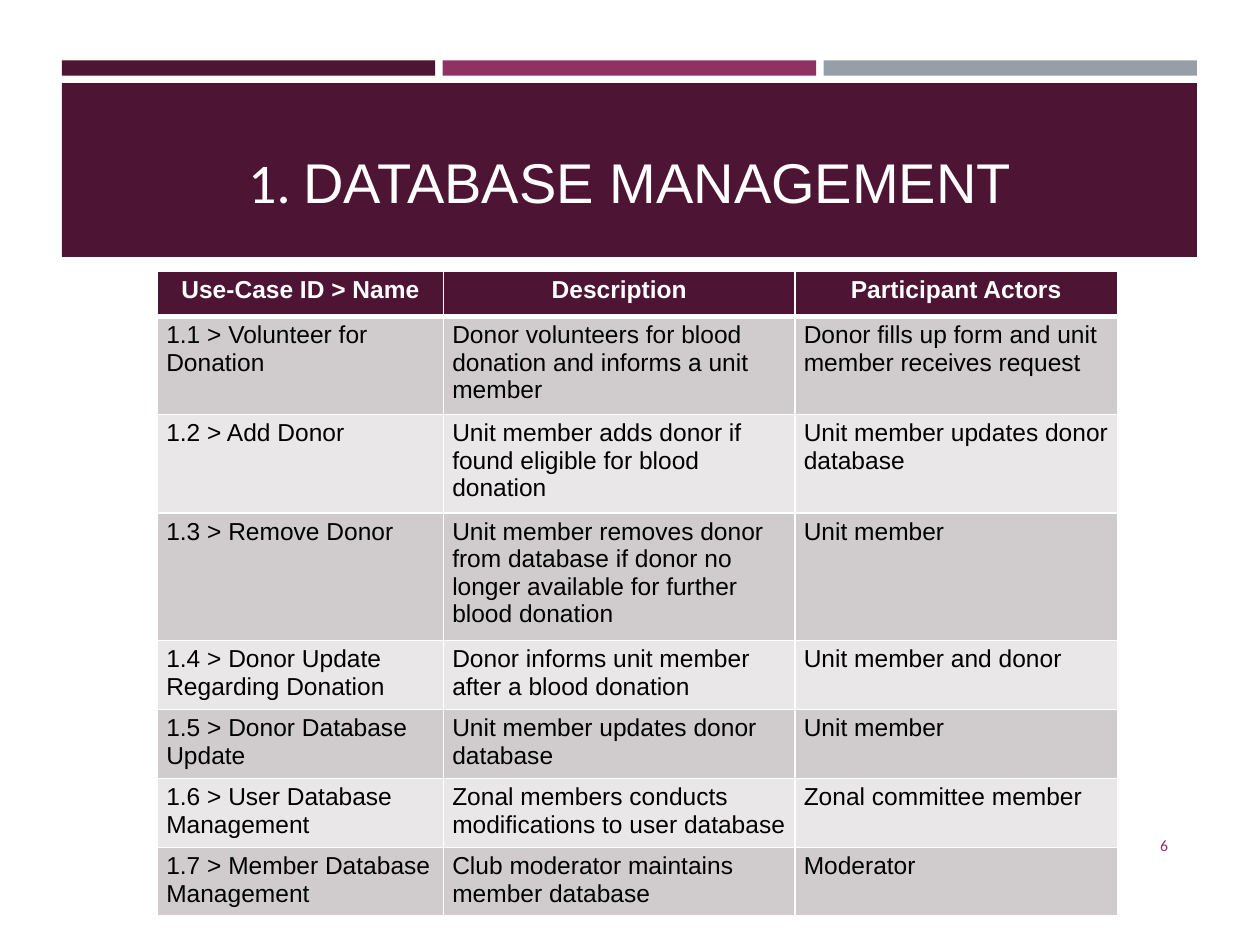
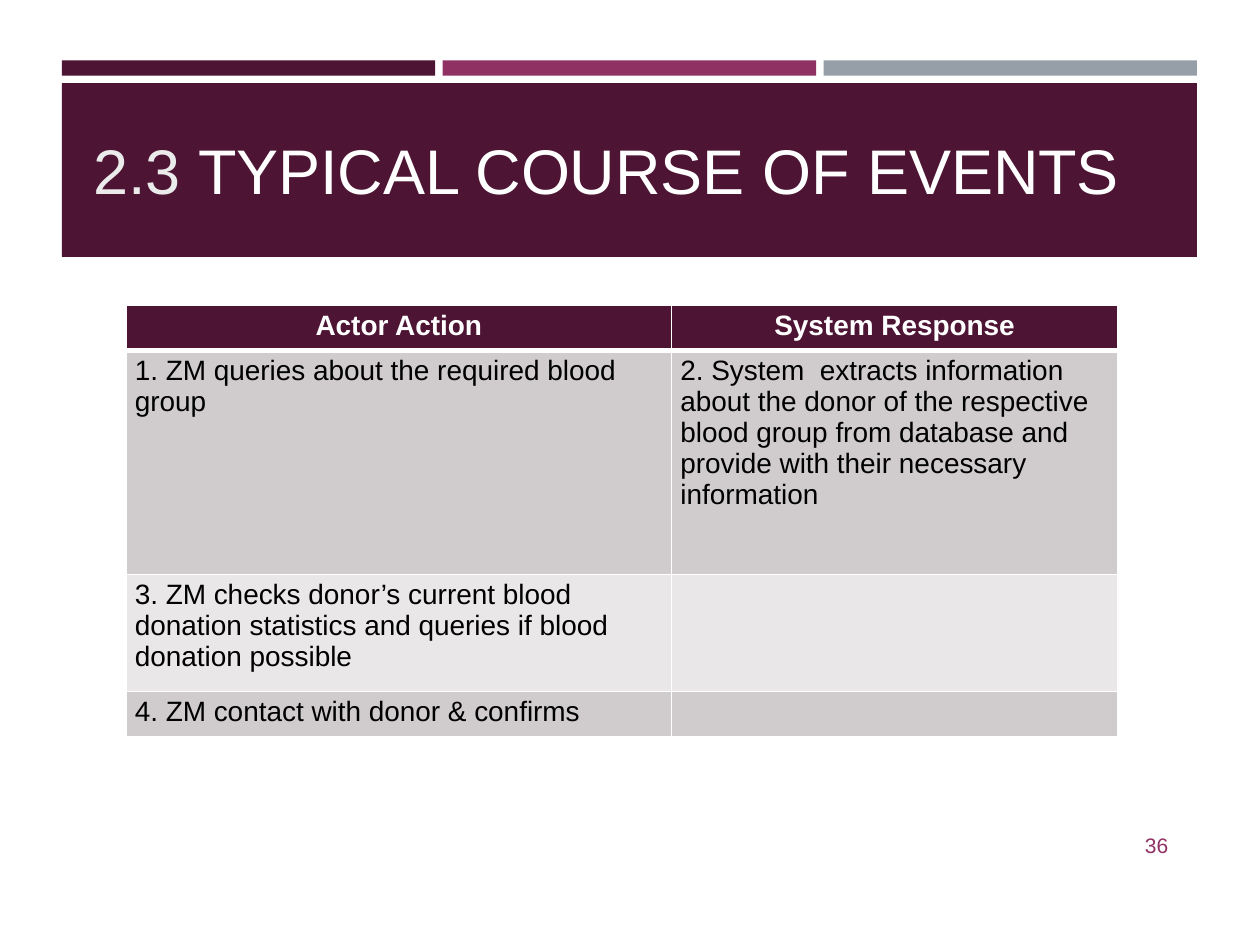
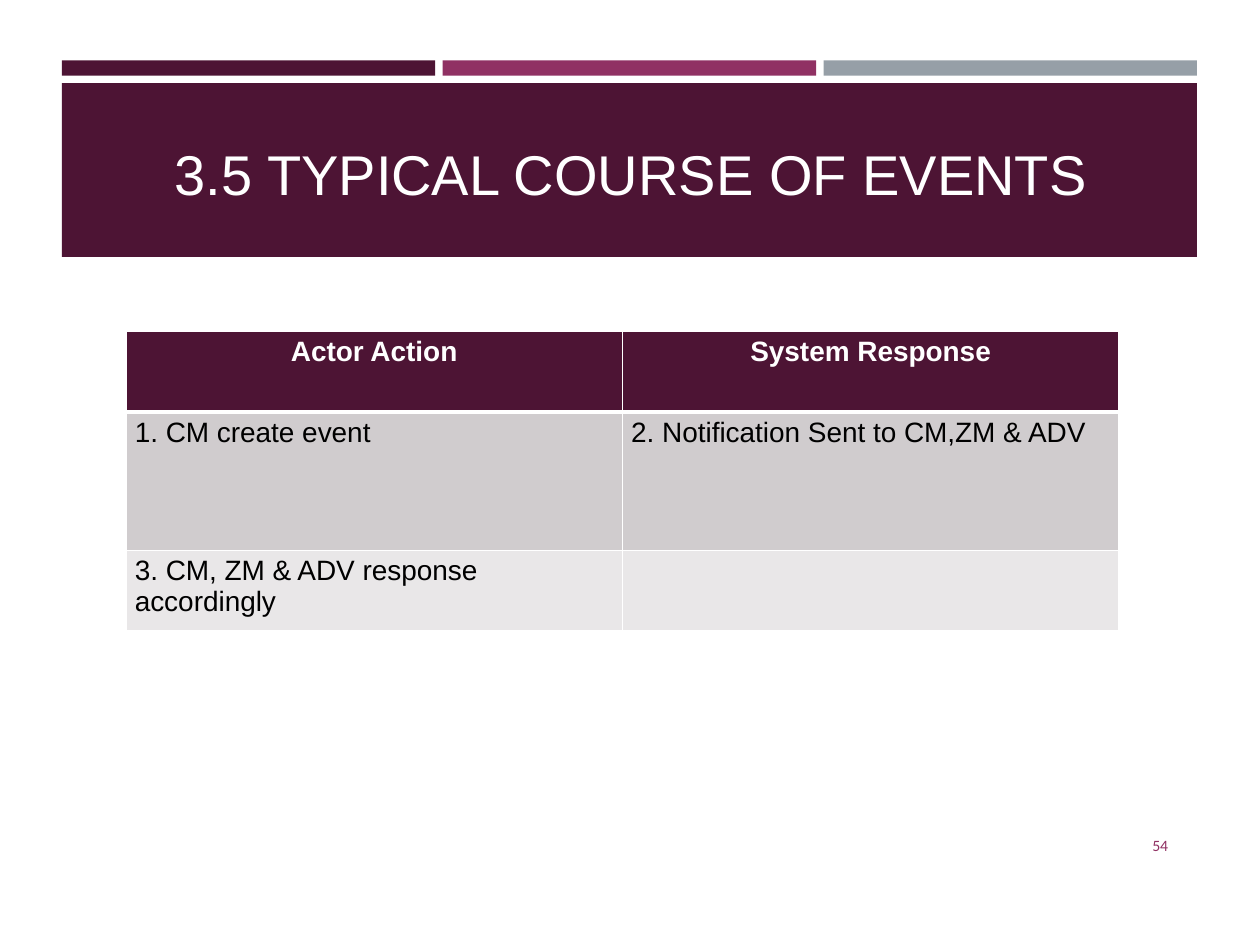
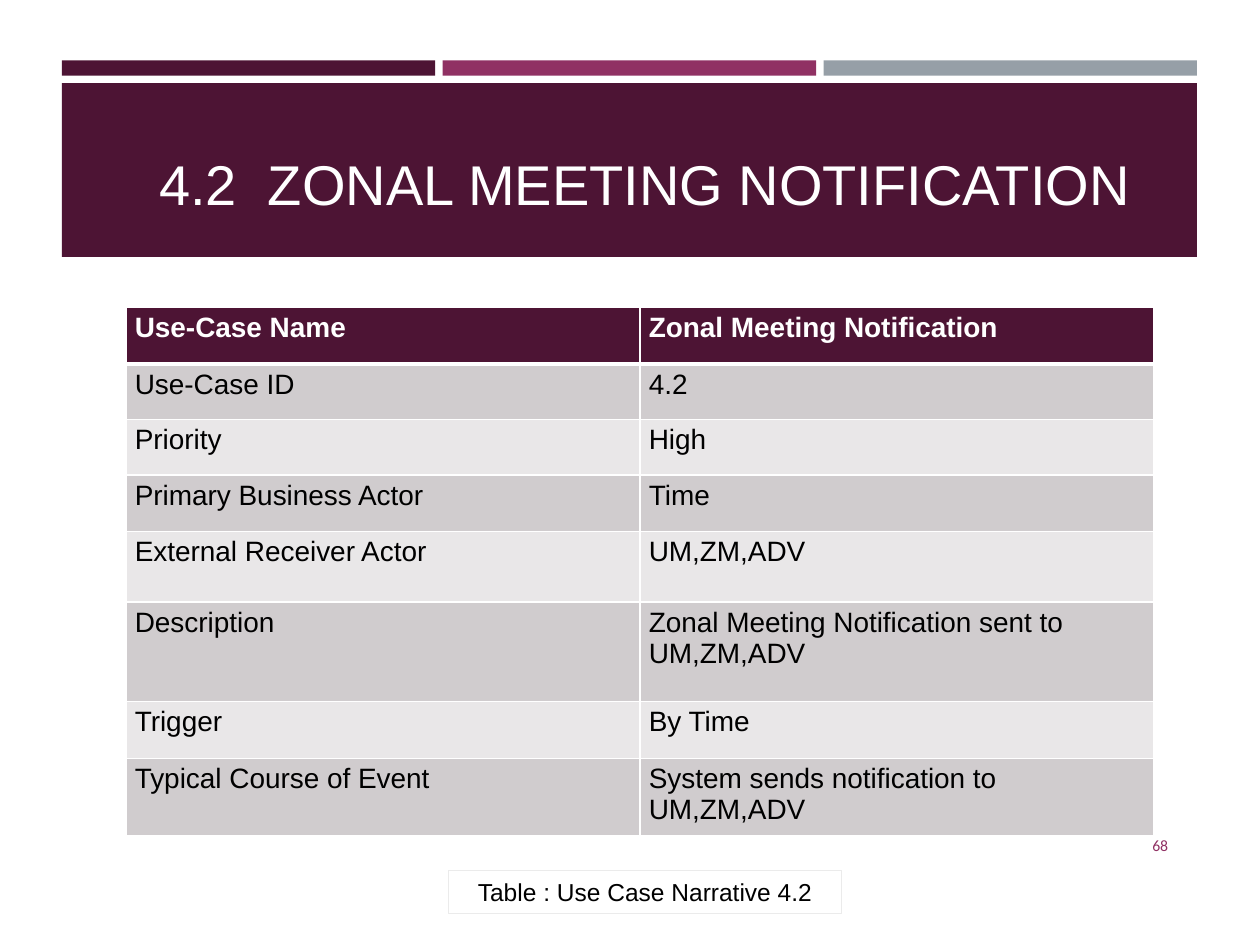
from lxml.etree import SubElement
from pptx import Presentation
from pptx.dml.color import RGBColor
from pptx.enum.shapes import MSO_SHAPE
from pptx.enum.text import MSO_ANCHOR as ANCHOR, PP_ALIGN as ALIGN
from pptx.oxml.ns import qn
from pptx.util import Inches, Pt

COLORS = {
    "plum": "4D1434", "berry": "903163", "slate": "969FA7",
    "white": "FFFFFF", "black": "000000", "pale": "EBEBEB",
    "row_dark": "D0CCCE", "row_light": "E9E7E8",
}
BANNER = (0.49, 0.48, 9.01, 1.56)
STRIP_H, STRIP_GAP = 0.12, 0.06
NUMBER_BOX = (8.53, 6.51, 0.84, 0.4)
TITLE_BOX = (0.64, 0.92, 8.74, 0.77)

USE_CASES = [
    ["Use-Case ID > Name", "Description", "Participant Actors"],
    ["1.1 > Volunteer for Donation",
     "Donor volunteers for blood donation and informs a unit member",
     "Donor fills up form and unit member receives request"],
    ["1.2 > Add Donor",
     "Unit member adds donor if found eligible for blood donation",
     "Unit member updates donor database"],
    ["1.3 > Remove Donor",
     "Unit member removes donor from database if donor no longer available "
     "for further blood donation",
     "Unit member"],
    ["1.4 > Donor Update Regarding Donation",
     "Donor informs unit member after a blood donation",
     "Unit member and donor"],
    ["1.5 > Donor Database Update",
     "Unit member updates donor database", "Unit member"],
    ["1.6 > User Database Management",
     "Zonal members conducts modifications to user database",
     "Zonal committee member"],
    ["1.7 > Member Database Management",
     "Club moderator maintains member database", "Moderator"],
]
BLOOD_QUERY = [
    ["Actor Action", "System Response"],
    ["1. ZM queries about the required blood group",
     "2. System  extracts information about the donor of the respective "
     "blood group from database and provide with their necessary information"],
    ["3. ZM checks donor’s current blood donation statistics and queries "
     "if blood donation possible", ""],
    ["4. ZM contact with donor & confirms", ""],
]
EVENT_CREATION = [
    ["Actor Action", "System Response"],
    ["1. CM create event", "2. Notification Sent to CM,ZM & ADV"],
    ["3. CM, ZM & ADV response accordingly", ""],
]
NARRATIVE = [
    ["Use-Case Name", "Zonal Meeting Notification"],
    ["Use-Case ID", "4.2"],
    ["Priority", "High"],
    ["Primary Business Actor", "Time"],
    ["External Receiver Actor", "UM,ZM,ADV"],
    ["Description", "Zonal Meeting Notification sent to UM,ZM,ADV"],
    ["Trigger", "By Time"],
    ["Typical Course of Event", "System sends notification to UM,ZM,ADV"],
]


def rgb(name):
    return RGBColor.from_string(COLORS[name])


def style_run(r, size, color, font="Arial", bold=False):
    r.font.size = Pt(size)
    r.font.name = font
    r.font.bold = bold
    r.font.color.rgb = rgb(color)


def add_rect(s, box, fill=None, line=None):
    sp = s.shapes.add_shape(MSO_SHAPE.RECTANGLE, *map(Inches, box))
    sp.shadow.inherit = False
    if fill:
        sp.fill.solid()
        sp.fill.fore_color.rgb = rgb(fill)
    else:
        sp.fill.background()
    if line:
        sp.line.color.rgb = rgb(line)
        sp.line.width = Pt(0.75)
    else:
        sp.line.fill.background()
    return sp


def add_text(s, box, runs, align, anchor):
    tf = s.shapes.add_textbox(*map(Inches, box)).text_frame
    tf.word_wrap = True
    tf.vertical_anchor = anchor
    p = tf.paragraphs[0]
    p.alignment = align
    for text, *style in runs:
        r = p.add_run()
        r.text = text
        style_run(r, *style)


def add_banner(s, box):
    left, top, width, height = box
    strip_w = (width - 2 * STRIP_GAP) / 3
    for i, color in enumerate(("plum", "berry", "slate")):
        x = left + i * (strip_w + STRIP_GAP)
        add_rect(s, (x, top, strip_w, STRIP_H), color)
    offset = STRIP_H + STRIP_GAP
    add_rect(s, (left, top + offset, width, height - offset), "plum")


def add_frame(prs, title_runs, number, title_box=TITLE_BOX,
              align=ALIGN.CENTER, number_size=9, number_font="Calibri"):
    s = prs.slides.add_slide(prs.slide_layouts[6])
    add_banner(s, BANNER)
    add_text(s, title_box, title_runs, align, ANCHOR.BOTTOM)
    add_text(s, NUMBER_BOX, [(number, number_size, "berry", number_font)],
             ALIGN.RIGHT, ANCHOR.MIDDLE)
    return s


def set_borders(cell, top, bottom):
    tc_pr = cell._tc.get_or_add_tcPr()
    for side, width in (("L", 1), ("R", 1), ("T", top), ("B", bottom)):
        ln = SubElement(tc_pr, qn(f"a:ln{side}"), w=str(Pt(width)))
        fill = SubElement(ln, qn("a:solidFill"))
        SubElement(fill, qn("a:srgbClr"), val=COLORS["white"])


def fill_cell(cell, text, row, size, header_align):
    header = row == 0
    set_borders(cell, 3 if row == 1 else 1, 3 if header else 1)
    cell.fill.solid()
    band = "row_dark" if row % 2 else "row_light"
    cell.fill.fore_color.rgb = rgb("plum" if header else band)
    cell.margin_left = cell.margin_right = Inches(0.07)
    cell.margin_top = cell.margin_bottom = Inches(0.04)
    p = cell.text_frame.paragraphs[0]
    if not text:
        SubElement(p._p, qn("a:endParaRPr"), sz=str(size * 100))
        return
    p.text = text
    p.alignment = header_align if header else ALIGN.LEFT
    style_run(p.runs[0], size, "white" if header else "black", bold=header)


def add_grid(s, left, top, cols, heights, rows, size=16,
             header_align=ALIGN.CENTER):
    box = (left, top, sum(cols), sum(heights))
    tbl = s.shapes.add_table(len(rows), len(cols), *map(Inches, box)).table
    tbl.first_row = tbl.horz_banding = False
    for col, width in zip(tbl.columns, cols):
        col.width = Inches(width)
    for i, (height, texts) in enumerate(zip(heights, rows)):
        tbl.rows[i].height = Inches(height)
        for j, text in enumerate(texts):
            fill_cell(tbl.cell(i, j), text, i, size, header_align)


def add_caption(s, box, text):
    tf = add_rect(s, box, line="pale").text_frame
    tf.text = text
    tf.vertical_anchor = ANCHOR.MIDDLE
    p = tf.paragraphs[0]
    p.alignment = ALIGN.CENTER
    style_run(p.runs[0], 14, "black")


def build_use_cases(prs):
    runs = [("1. ", 32, "white", "Calibri"),
            ("DATABASE MANAGEMENT", 32, "white")]
    s = add_frame(prs, runs, "6", title_box=(1, 0.83, 8, 0.92))
    heights = [0.36, 0.69, 0.49, 0.89] + [0.49] * 4
    add_grid(s, 1.25, 2.15, [2.27, 2.79, 2.56], heights, USE_CASES, size=14)


def build_blood_query(prs):
    runs = [("2.3 ", 36, "pale"), ("TYPICAL COURSE OF EVENTS", 36, "white")]
    s = add_frame(prs, runs, "36", align=ALIGN.LEFT,
                  number_size=12, number_font="Arial")
    add_grid(s, 1, 2.42, [4.33, 3.54], [0.36, 1.78, 0.93, 0.36], BLOOD_QUERY)


def build_event_creation(prs):
    s = add_frame(prs, [("3.5 TYPICAL COURSE OF EVENTS", 32, "white")], "54")
    add_grid(s, 1, 2.63, [3.94] * 2, [0.64, 1.1, 0.64], EVENT_CREATION)


def build_narrative(prs):
    runs = [("4.2  ZONAL MEETING NOTIFICATION", 32, "white")]
    s = add_frame(prs, runs, "68", title_box=(0.75, 0.92, 8.74, 0.85))
    heights = [0.45, 0.44, 0.44, 0.45, 0.56, 0.79, 0.45, 0.45]
    add_grid(s, 1, 2.44, [4.08] * 2, heights, NARRATIVE,
             header_align=ALIGN.LEFT)
    add_caption(s, (3.56, 6.91, 3.12, 0.34), "Table : Use Case Narrative 4.2")


def main():
    prs = Presentation()
    prs.slide_width, prs.slide_height = Inches(10), Inches(7.5)
    build_use_cases(prs)
    build_blood_query(prs)
    build_event_creation(prs)
    build_narrative(prs)
    prs.save("out.pptx")


if __name__ == "__main__":
    main()
